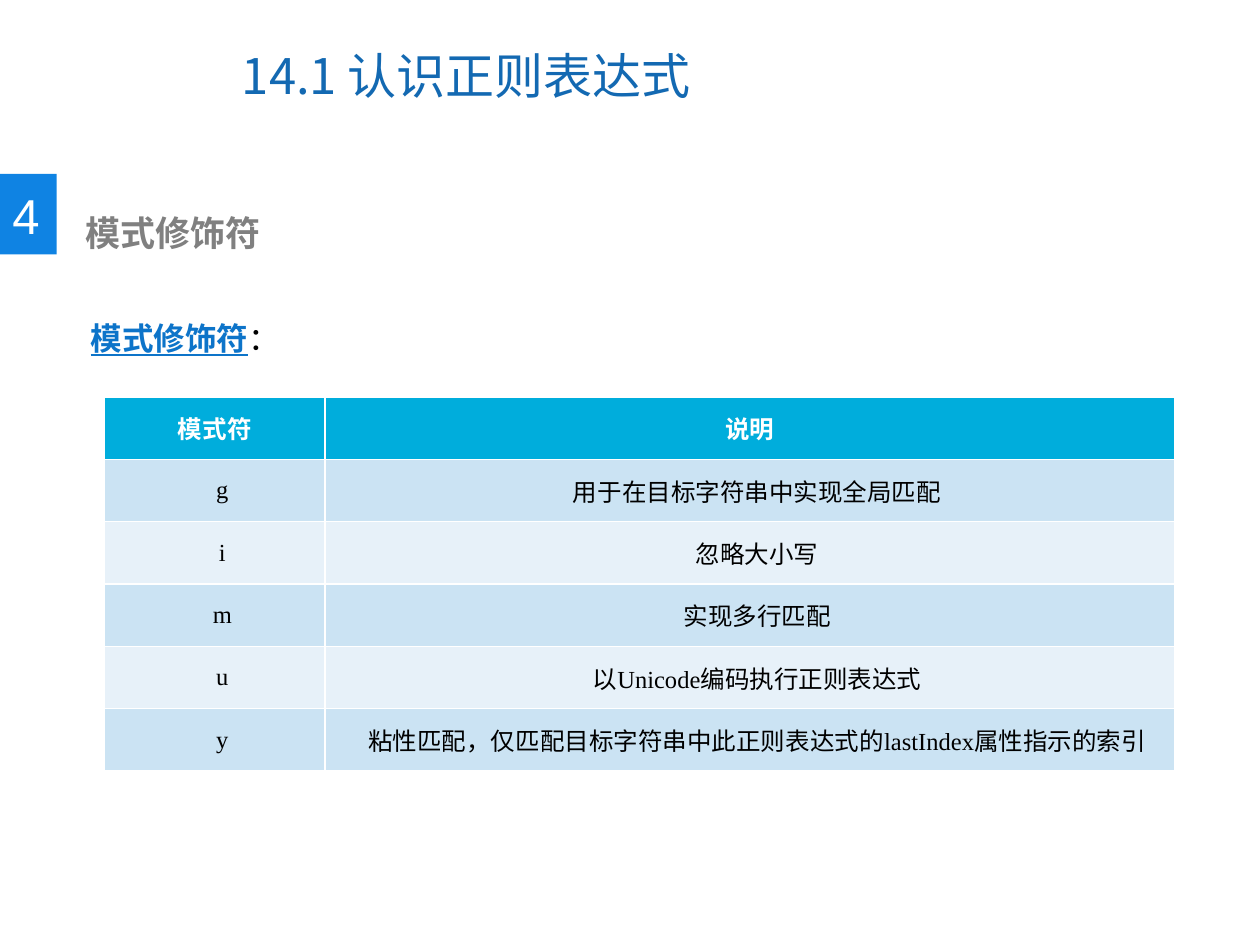
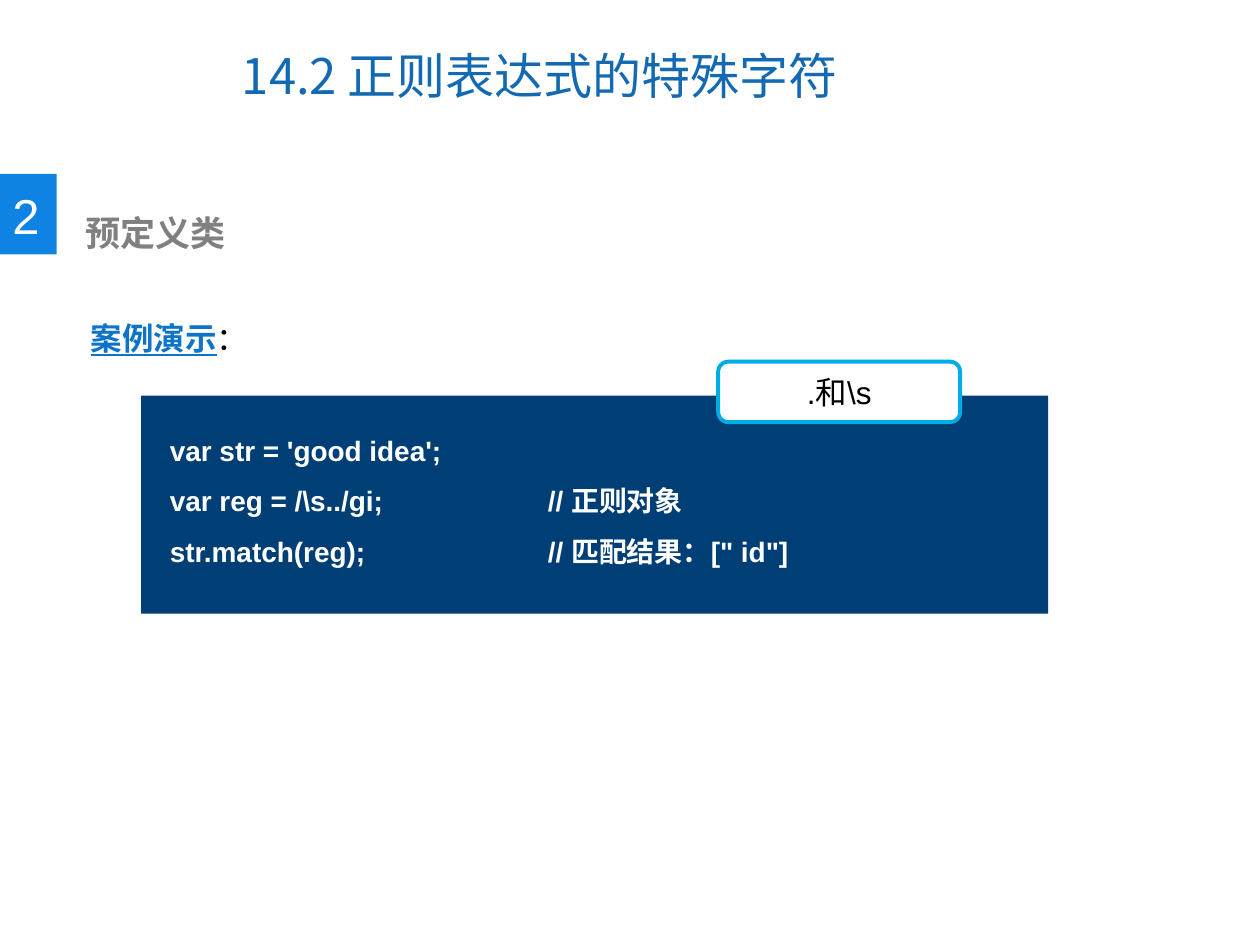
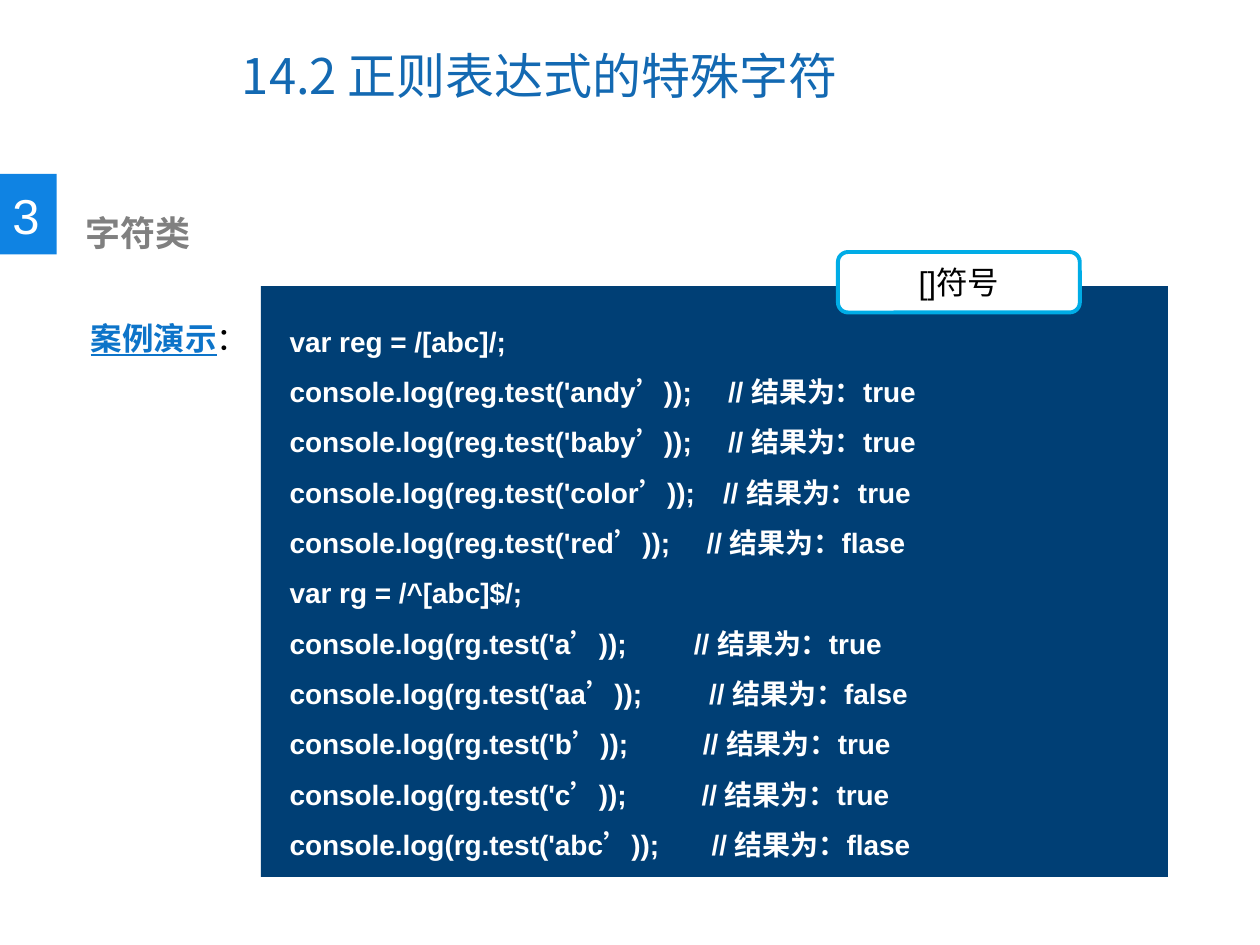
from dataclasses import dataclass

from lxml import etree
from pptx import Presentation
from pptx.dml.color import RGBColor
from pptx.enum import shapes as kinds, text as modes
from pptx.oxml import ns
from pptx.util import Inches, Pt


@dataclass(frozen=True)
class Theme:
    title: str = "1369B2"
    badge: str = "0F83E3"
    heading: str = "808080"
    lead: str = "0D74C9"
    code: str = "003F75"
    tag_line: str = "00ACE6"
    table_head: str = "00ADDC"
    bands: tuple = ("CBE3F3", "E7F1F9")
    white: str = "FFFFFF"
    black: str = "000000"
    sans: str = "Arial"
    east: str = "Noto Sans CJK SC"
    serif: str = "Times New Roman"
    big: int = 28
    heading_size: int = 20
    lead_size: int = 18
    code_size: int = 16
    table_size: int = 14


THEME = Theme()


def style(span, size, colour, face=THEME.sans, bold=False, underline=False):
    font = span.font
    font.size, font.name = Pt(size), face
    font.bold, font.underline = bold, underline
    font.color.rgb = RGBColor.from_string(colour)
    east = etree.Element(ns.qn("a:ea"), typeface=THEME.east)
    font._element.find(ns.qn("a:latin")).addnext(east)


def add_span(para, words, *args, **kwargs):
    span = para.add_run()
    span.text = words
    style(span, *args, **kwargs)


def add_text_box(parts, box, wrap=True):
    frame = parts.add_textbox(*map(Inches, box)).text_frame
    frame.word_wrap = wrap
    return frame


def add_panel(parts, kind, box, fill, line=None):
    panel = parts.add_shape(kind, *map(Inches, box))
    panel.shadow.inherit = False
    panel.fill.solid()
    panel.fill.fore_color.rgb = RGBColor.from_string(fill)
    if line:
        panel.line.color.rgb = RGBColor.from_string(line)
        panel.line.width = Pt(2.25)
    else:
        panel.line.fill.background()
    return panel


def prepare_title(layout):
    title = layout.placeholders[0]
    title.left, title.top, title.width, title.height = map(Inches, (1.82, 0.17, 5.16, 0.85))
    frame = title.text_frame
    frame.vertical_anchor = modes.MSO_ANCHOR.MIDDLE
    frame.auto_size = modes.MSO_AUTO_SIZE.NONE


def add_title(page, number, name):
    para = page.shapes.title.text_frame.paragraphs[0]
    para.alignment = modes.PP_ALIGN.LEFT
    add_span(para, f"{number} ", THEME.big, THEME.title, THEME.east)
    add_span(para, name, THEME.big, THEME.title)


def add_section(page, box, number, name):
    left, top, width, height = box
    badge = page.shapes.add_group_shape().shapes
    add_panel(badge, kinds.MSO_SHAPE.RECTANGLE, box, THEME.badge)
    para = add_text_box(badge, (left, top + 0.04, width - 0.03, 0.57), wrap=False).paragraphs[0]
    add_span(para, number, THEME.big, THEME.white)
    heading = add_text_box(page.shapes, (left + 0.58, top + 0.25, 5.03, 0.44))
    add_span(heading.paragraphs[0], name, THEME.heading_size, THEME.heading, bold=True)


def add_lead(page, box, words):
    para = add_text_box(page.shapes, box).paragraphs[0]
    para.line_spacing = 2.0
    add_span(para, words, THEME.lead_size, THEME.lead, bold=True, underline=True)
    add_span(para, "：", THEME.lead_size, THEME.black)


def add_modifier_table(page, box, rows):
    table = page.shapes.add_table(len(rows), 2, *map(Inches, box)).table
    first_width = 1.75
    table.columns[0].width = Inches(first_width)
    table.columns[1].width = Inches(box[2] - first_width)
    for row, words in enumerate(rows):
        head = row == 0
        fill = THEME.table_head if head else THEME.bands[(row - 1) % 2]
        for column, word in enumerate(words):
            cell = table.cell(row, column)
            cell.fill.solid()
            cell.fill.fore_color.rgb = RGBColor.from_string(fill)
            cell.vertical_anchor = modes.MSO_ANCHOR.MIDDLE
            cell.margin_top = cell.margin_bottom = 0
            cell.margin_left = Inches(0.08 if head else 0.2)
            cell.margin_right = Inches(0.08)
            cell.text_frame.text = word
            para = cell.text_frame.paragraphs[0]
            para.alignment = modes.PP_ALIGN.CENTER
            style(para.runs[0], THEME.table_size, THEME.white if head else THEME.black,
                  THEME.serif, bold=head)


def add_tab_stop(para, position):
    tabs = etree.SubElement(para._p.get_or_add_pPr(), ns.qn("a:tabLst"))
    etree.SubElement(tabs, ns.qn("a:tab"), pos=str(Inches(position)), algn="l")


def add_code(page, box, tag, lines):
    left, top, width, height = box
    block = page.shapes.add_group_shape().shapes
    add_panel(block, kinds.MSO_SHAPE.RECTANGLE, box, THEME.code)
    frame = add_text_box(block, (left + 0.13, top + 0.12, width - 0.13, height - 0.2))
    for index, (code, stop, comment) in enumerate(lines):
        para = frame.add_paragraph() if index else frame.paragraphs[0]
        para.text = f"{code}\t// {comment}" if comment else code
        if comment:
            add_tab_stop(para, stop)
        para.line_spacing = 1.5
        style(para.runs[0], THEME.code_size, THEME.white, bold=True)
    label = add_panel(page.shapes, kinds.MSO_SHAPE.ROUNDED_RECTANGLE,
                      (left + 4.58, top - 0.27, 1.92, 0.48), THEME.white, THEME.tag_line)
    label.text_frame.text = tag
    para = label.text_frame.paragraphs[0]
    para.alignment = modes.PP_ALIGN.CENTER
    style(para.runs[0], THEME.lead_size, THEME.black)


def add_page(deck, title, section, lead):
    page = deck.slides.add_slide(deck.slide_layouts[5])
    add_title(page, *title)
    add_section(page, (0, 1.38, 0.45, 0.64), *section)
    add_lead(page, (0.62, 2.18, 8.65, 0.61), lead)
    return page


def test_line(name, word, stop, result):
    return f"console.log({name}.test('{word}’));", stop, f"结果为：{result}"


MODIFIERS = [
    ("模式符", "说明"),
    ("g", "用于在目标字符串中实现全局匹配"),
    ("i", "忽略大小写"),
    ("m", "实现多行匹配"),
    ("u", "以Unicode编码执行正则表达式"),
    ("y", "粘性匹配，仅匹配目标字符串中此正则表达式的lastIndex属性指示的索引"),
]

MATCH_CODE = [
    ("var str = 'good idea';", 0, ""),
    ("var reg = /\\s../gi;", 3, "正则对象"),
    ("str.match(reg);", 3, "匹配结果：[\" id\"]"),
]

CLASS_CODE = [
    ("var reg = /[abc]/;", 0, ""),
    test_line("reg", "andy", 3.48, "true"),
    test_line("reg", "baby", 3.48, "true"),
    test_line("reg", "color", 3.44, "true"),
    test_line("reg", "red", 3.31, "flase"),
    ("var rg = /^[abc]$/;", 0, ""),
    test_line("rg", "a", 3.21, "true"),
    test_line("rg", "aa", 3.33, "false"),
    test_line("rg", "b", 3.28, "true"),
    test_line("rg", "c", 3.27, "true"),
    test_line("rg", "abc", 3.35, "flase"),
]


def main():
    deck = Presentation()
    deck.slide_width, deck.slide_height = Inches(10), Inches(7.5)
    prepare_title(deck.slide_layouts[5])
    special = ("14.2", "正则表达式的特殊字符")

    page = add_page(deck, ("14.1", "认识正则表达式"), ("4", "模式修饰符"), "模式修饰符")
    add_modifier_table(page, (0.83, 3.15, 8.49, 2.97), MODIFIERS)

    page = add_page(deck, special, ("2", "预定义类"), "案例演示")
    add_code(page, (1.12, 3.14, 7.2, 1.73), ".和\\s", MATCH_CODE)

    page = add_page(deck, special, ("3", "字符类"), "案例演示")
    add_code(page, (2.07, 2.27, 7.2, 4.69), "[]符号", CLASS_CODE)

    deck.save("out.pptx")


if __name__ == "__main__":
    main()
